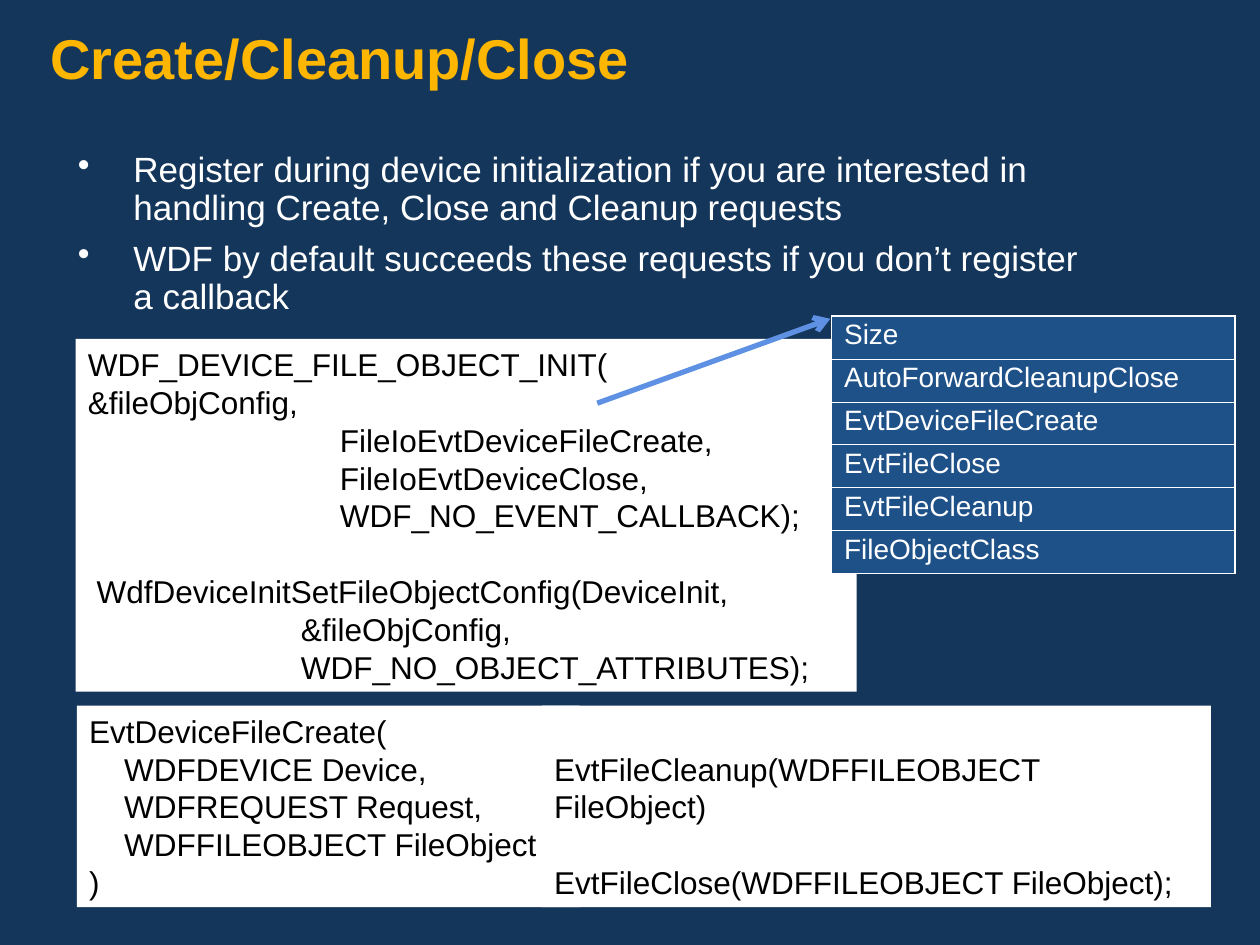
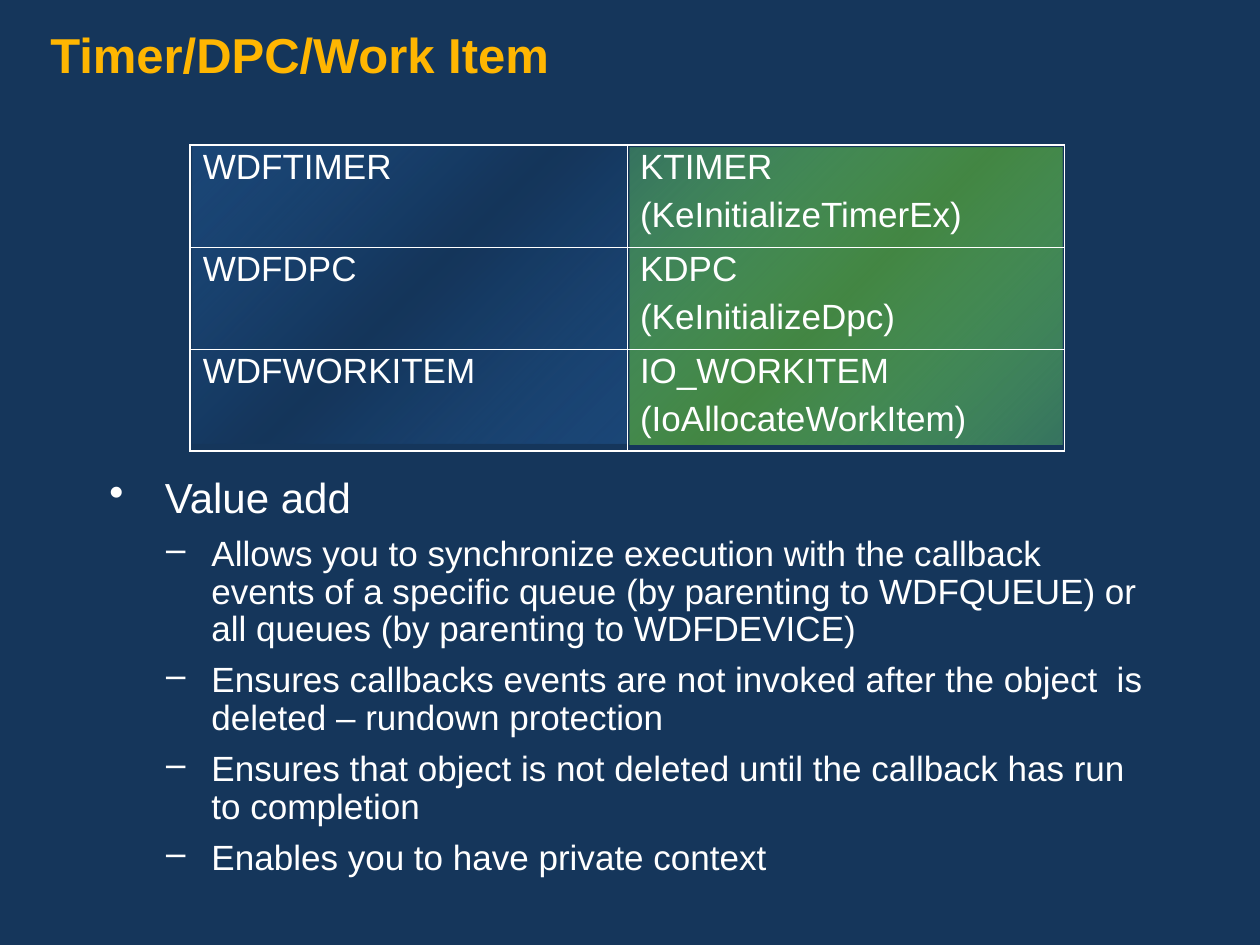
from lxml.etree import SubElement
from pptx import Presentation
from pptx.dml.color import RGBColor
from pptx.enum.shapes import MSO_CONNECTOR, MSO_SHAPE
from pptx.oxml.ns import qn
from pptx.util import Inches, Pt

NAVY, GOLD, WHITE, BLACK = "15365B", "FFB601", "FFFFFF", "000000"
CELL_BLUE, ARROW_BLUE = "1F5189", "5E91E4"
CODE_LINE = 21.6  # height of one line of code, in points
color = RGBColor.from_string


def write(frame, text, size, hex_color=WHITE, bold=False, spacing=None,
          before=0, indent=0, hang=0, bullet=None):
    """Add a paragraph to the frame, using its empty first one if there is one."""
    first = not frame.paragraphs[0].runs
    paragraph = frame.paragraphs[0] if first else frame.add_paragraph()
    properties = paragraph._p.get_or_add_pPr()
    properties.set("marL", str(Inches(indent)))
    properties.set("indent", str(-Inches(hang)))
    if bullet:
        bullet_color = SubElement(properties, qn("a:buClr"))
        SubElement(bullet_color, qn("a:srgbClr"), val=hex_color)
        SubElement(properties, qn("a:buChar"), char=bullet)
    if spacing:
        paragraph.line_spacing = spacing
    if before and not first:
        paragraph.space_before = Pt(before)
    for number, part in enumerate(text.split("\n")):
        if number:
            paragraph.add_line_break()
        run = paragraph.add_run()
        run.text = part
        run.font.name = "Arial"
        run.font.size = Pt(size)
        run.font.bold = bold
        run.font.color.rgb = color(hex_color)


def add_grid(slide, rows, left, top, column_width, row_height, size, fill=None):
    """Add a table with thin white inner lines and a thicker white frame."""
    row_count, column_count = len(rows), len(rows[0])
    table = slide.shapes.add_table(
        row_count, column_count, Inches(left), Inches(top),
        Inches(column_width * column_count), Inches(row_height * row_count)).table
    table.first_row = table.horz_banding = False
    for column in table.columns:
        column.width = Inches(column_width)
    for r, row in enumerate(rows):
        table.rows[r].height = Inches(row_height)
        for c, text in enumerate(row):
            cell = table.cell(r, c)
            for line in text.split("\n"):
                write(cell.text_frame, line, size, spacing=0.9, before=7.5)
            edges = {"a:lnL": c == 0, "a:lnR": c == column_count - 1,
                     "a:lnT": r == 0, "a:lnB": r == row_count - 1}
            for edge, outer in edges.items():
                border = SubElement(cell._tc.get_or_add_tcPr(), qn(edge),
                                    w=str(Pt(1.08 if outer else 0.45)))
                paint = SubElement(border, qn("a:solidFill"))
                SubElement(paint, qn("a:srgbClr"), val=WHITE)
            if fill:
                cell.fill.solid()
                cell.fill.fore_color.rgb = color(fill)
            else:
                cell.fill.background()


prs = Presentation()
prs.slide_width, prs.slide_height = Inches(10), Inches(7.5)

# Background and title of both slides
slides = []
for title, title_size in [("Create/Cleanup/Close", 32), ("Timer/DPC/Work Item", 28)]:
    slide = prs.slides.add_slide(prs.slide_layouts[6])
    slide.background.fill.solid()
    slide.background.fill.fore_color.rgb = color(NAVY)
    heading = slide.shapes.add_textbox(0, 0, Inches(10), Inches(0.75)).text_frame
    heading.word_wrap = True
    heading.margin_left = heading.margin_right = Inches(0.4)
    heading.margin_top = Inches(0.25)
    write(heading, title, title_size, GOLD, bold=True, spacing=0.9)
    slides.append(slide)
file_slide, timer_slide = slides

# Slide 1: file object callbacks
advice = file_slide.shapes.add_textbox(
    Inches(0.52), Inches(1.16), Inches(8.59), Inches(1.82)).text_frame
advice.word_wrap = True
for point in [
    "Register during device initialization if you are interested in handling "
    "Create, Close and Cleanup requests",
    "WDF by default succeeds these requests if you don’t register\na callback",
]:
    write(advice, point, 20, spacing=0.9, before=7.5, indent=0.44, hang=0.44, bullet="•")

# Each code box: place, top margin, then lines as (text, indent, space before)
code_boxes = [
    ((0.6, 2.69, 6.2, 2.8), 0.05, [
        ("WDF_DEVICE_FILE_OBJECT_INIT(\n&fileObjConfig,", 0, 0),
        ("FileIoEvtDeviceFileCreate,", 2, 0),
        ("FileIoEvtDeviceClose,", 2, 0),
        ("WDF_NO_EVENT_CALLBACK);", 2, 0),
        (" WdfDeviceInitSetFileObjectConfig(DeviceInit,", 0, CODE_LINE),
        ("&fileObjConfig,", 1.69, 0),
        ("WDF_NO_OBJECT_ATTRIBUTES);", 1.69, 0),
    ]),
    ((0.61, 5.6, 3.99, 1.6), 0.05, [
        ("EvtDeviceFileCreate(", 0, 0),
        ("    WDFDEVICE Device,", 0, 0),
        ("    WDFREQUEST Request,", 0, 0),
        ("    WDFFILEOBJECT FileObject", 0, 0),
        (")", 0, 0),
    ]),
    ((4.3, 5.6, 5.31, 1.6), 0.35, [
        ("EvtFileCleanup(WDFFILEOBJECT FileObject)", 0, 0),
        ("EvtFileClose(WDFFILEOBJECT FileObject);", 0, CODE_LINE),
    ]),
]
for place, top_margin, lines in code_boxes:
    code_box = file_slide.shapes.add_textbox(*map(Inches, place))
    code_box.fill.solid()
    code_box.fill.fore_color.rgb = color(WHITE)
    code_box.text_frame.word_wrap = True
    code_box.text_frame.margin_top = Inches(top_margin)
    for text, indent, before in lines:
        write(code_box.text_frame, text, 18, BLACK, before=before, indent=indent)

config_fields = ["Size", "AutoForwardCleanupClose", "EvtDeviceFileCreate",
                 "EvtFileClose", "EvtFileCleanup", "FileObjectClass"]
add_grid(file_slide, [[field] for field in config_fields],
         6.6, 2.51, 3.2, 0.34, 16, CELL_BLUE)

config_arrow = file_slide.shapes.add_connector(
    MSO_CONNECTOR.STRAIGHT, Inches(4.74), Inches(3.2), Inches(6.59), Inches(2.53))
config_arrow.line.color.rgb = color(ARROW_BLUE)
config_arrow.line.width = Pt(3)
SubElement(config_arrow.line._get_or_add_ln(), qn("a:tailEnd"), type="arrow")
SubElement(config_arrow.element.spPr, qn("a:effectLst"))

# Slide 2: gradient panels behind the two table columns
for place, edge_color, edge_alpha, middle_color in [
    ((1.53, 1.15, 3.44, 2.37), CELL_BLUE, 60, "14355A"),
    ((5, 1.17, 3.43, 2.36), "66CC66", 40, "438643"),
]:
    panel = timer_slide.shapes.add_shape(MSO_SHAPE.RECTANGLE, *map(Inches, place))
    panel.shadow.inherit = False
    panel.line.fill.background()
    panel.fill.gradient()
    panel.fill.gradient_angle = 135
    stops = panel.element.spPr.find(qn("a:gradFill")).find(qn("a:gsLst"))
    for old_stop in list(stops):
        stops.remove(old_stop)
    for position, stop_color, alpha in [
            (0, edge_color, edge_alpha), (50, middle_color, 100), (100, edge_color, edge_alpha)]:
        stop = SubElement(stops, qn("a:gs"), pos=str(position * 1000))
        shade = SubElement(stop, qn("a:srgbClr"), val=stop_color)
        SubElement(shade, qn("a:alpha"), val=str(alpha * 1000))

benefits = timer_slide.shapes.add_textbox(
    Inches(0.77), Inches(3.74), Inches(8.41), Inches(3.69)).text_frame
benefits.word_wrap = True
write(benefits, "Value add", 24, spacing=0.9, indent=0.44, hang=0.44, bullet="•")
for benefit in [
    "Allows you to synchronize execution with the callback events of a specific queue "
    "(by parenting to WDFQUEUE) or all queues (by parenting to WDFDEVICE)",
    "Ensures callbacks events are not invoked after the object  is deleted "
    "– rundown protection",
    "Ensures that object is not deleted until the callback has run to completion",
    "Enables you to have private context",
]:
    write(benefits, benefit, 20, spacing=0.9, before=7.5, indent=0.81, hang=0.36, bullet="–")

add_grid(timer_slide, [
    ["WDFTIMER", "KTIMER\n(KeInitializeTimerEx)"],
    ["WDFDPC", "KDPC\n(KeInitializeDpc)"],
    ["WDFWORKITEM", "IO_WORKITEM\n(IoAllocateWorkItem)"],
], 1.51, 1.15, 3.47, 0.81, 20)

prs.save("out.pptx")
